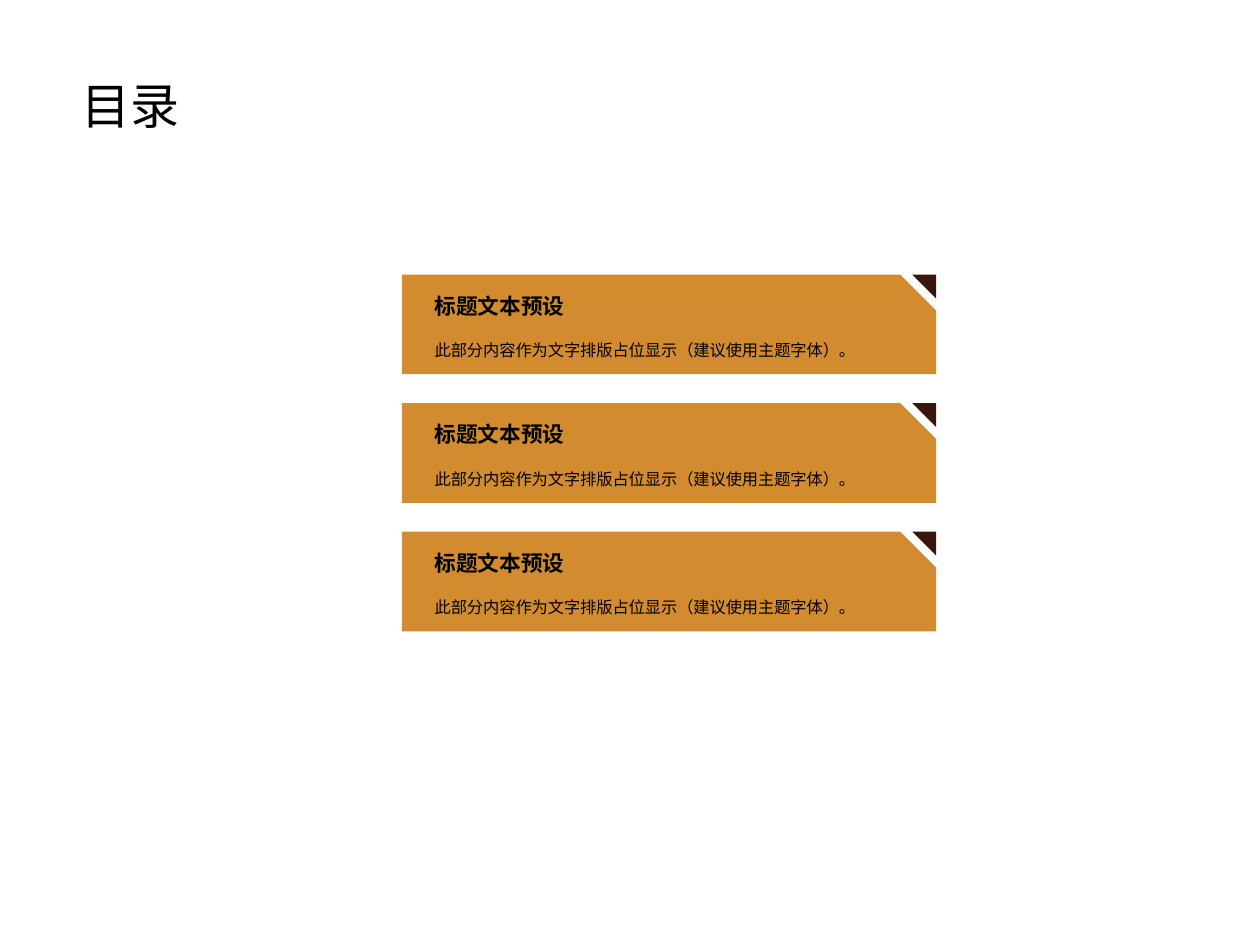
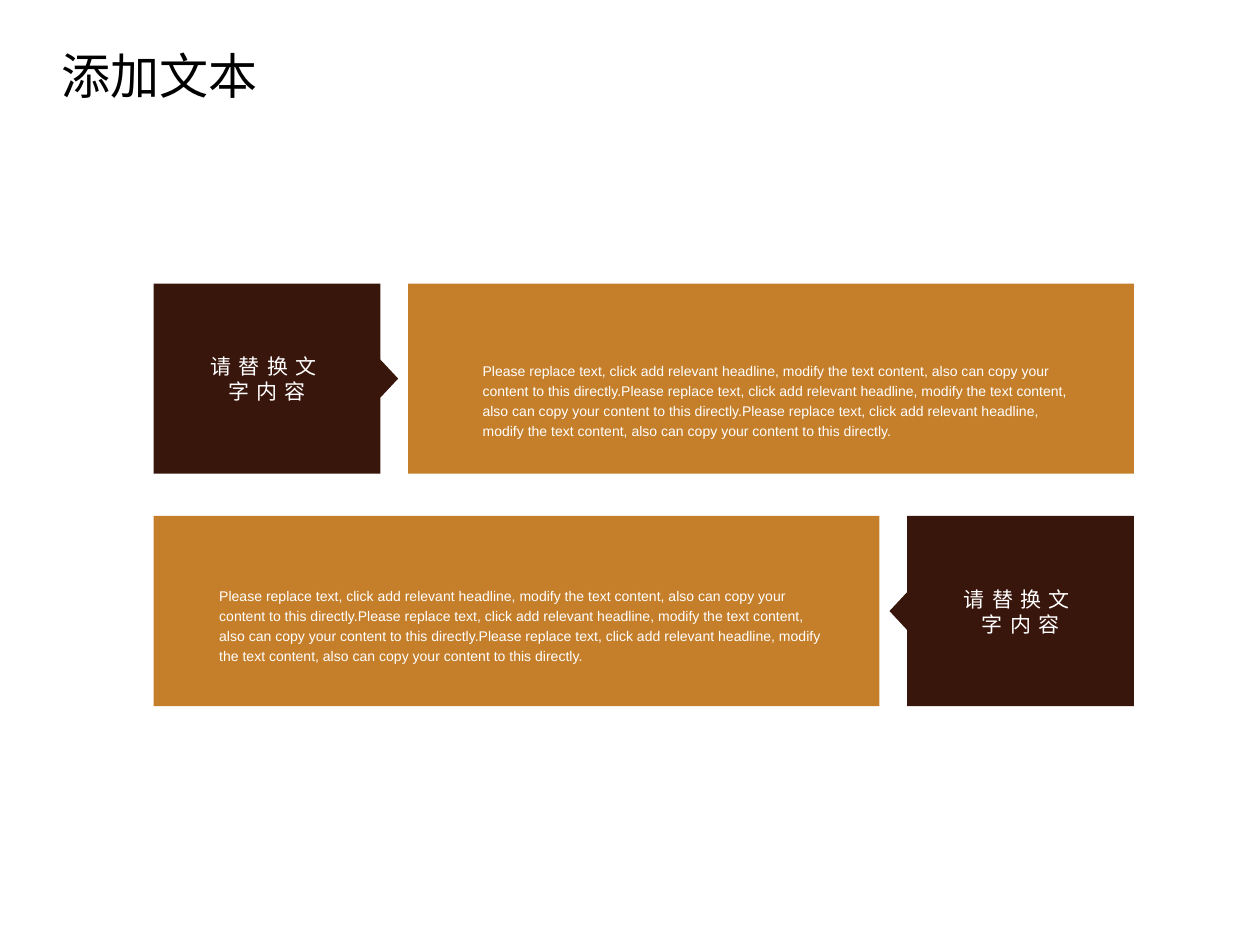
from lxml import etree
from pptx import Presentation
from pptx.dml.color import RGBColor
from pptx.enum.shapes import MSO_SHAPE
from pptx.enum.text import MSO_ANCHOR, MSO_AUTO_SIZE, PP_ALIGN
from pptx.oxml.ns import qn
from pptx.util import Inches, Pt

CJK_FONT = "Noto Sans CJK SC"
LATIN_FONT = "Arial"
BLACK = RGBColor(0x00, 0x00, 0x00)
WHITE = RGBColor(0xFF, 0xFF, 0xFF)
BROWN = RGBColor(0x38, 0x16, 0x0C)
AMBER = RGBColor(0xD2, 0x8B, 0x2F)
OCHRE = RGBColor(0xC5, 0x7F, 0x2B)

CONTENTS_TITLE = "目录"
CONTENTS = [("标题文本预设", "此部分内容作为文字排版占位显示（建议使用主题字体）。")] * 3

TEXT_TITLE = "添加文本"
SENTENCE = ("Please replace text, click add relevant headline, modify the text "
            "content, also can copy your content to this directly.")
# label, body, label on the left, body offset (x, y) in its panel, body width
ROWS = [
    ("请替换文字内容", SENTENCE * 3, True, (0.59, 0.6), 4.65),
    ("请替换文字内容", SENTENCE * 3, False, (0.52, 0.54), 4.86),
]

CARD_LEFT, CARD_TOP, CARD_WIDTH, CARD_HEIGHT, CARD_PITCH = 3.19, 2.18, 4.24, 0.79, 1.02
CORNER = 0.19
ROW_LEFT, ROW_TOP, ROW_WIDTH, ROW_HEIGHT, ROW_PITCH = 1.22, 2.25, 7.78, 1.51, 1.845
LABEL_WIDTH, PANEL_WIDTH = 1.8, 5.76
POINTER_DEPTH, POINTER_HALF = 0.14, 0.15
CARD_INSETS = (0.13, 0.07)


def style_paragraph(paragraph, size, color, font=CJK_FONT, bold=False,
                    line_spacing=None, alignment=PP_ALIGN.LEFT, tracking=None):
    paragraph.alignment = alignment
    paragraph.line_spacing = line_spacing
    paragraph.font.size = Pt(size)
    paragraph.font.bold = bold
    paragraph.font.name = font
    paragraph.font.color.rgb = color
    for run in paragraph.runs:
        properties = run._r.get_or_add_rPr()
        etree.SubElement(properties, qn("a:ea")).set("typeface", CJK_FONT)
        if tracking:
            properties.set("spc", str(round(tracking * 100)))


def add_text(slide, text, left, top, width, height, size, color,
             insets=(0, 0), anchor=MSO_ANCHOR.TOP, **style):
    box = slide.shapes.add_textbox(
        Inches(left), Inches(top), Inches(width), Inches(height))
    frame = box.text_frame
    frame.word_wrap = True
    frame.vertical_anchor = anchor
    frame.margin_left = frame.margin_right = Inches(insets[0])
    frame.margin_top = frame.margin_bottom = Inches(insets[1])
    frame.text = text
    style_paragraph(frame.paragraphs[0], size, color, **style)


def paint(shape, color):
    shape.shadow.inherit = False
    shape.fill.solid()
    shape.fill.fore_color.rgb = color
    shape.line.fill.background()


def add_box(slide, kind, left, top, width, height, color):
    shape = slide.shapes.add_shape(
        kind, Inches(left), Inches(top), Inches(width), Inches(height))
    paint(shape, color)
    return shape


def add_outline(slide, points, color):
    start, *rest = [(Inches(x), Inches(y)) for x, y in points]
    builder = slide.shapes.build_freeform(*start)
    builder.add_line_segments(rest, close=True)
    paint(builder.convert_to_shape(), color)


def add_titled_slide(presentation, text, left, top, width):
    slide = presentation.slides.add_slide(presentation.slide_layouts[5])
    title = slide.shapes.title
    title.left, title.top = Inches(left), Inches(top)
    title.width, title.height = Inches(width), Inches(0.57)
    frame = title.text_frame
    frame.text = text
    frame.auto_size = MSO_AUTO_SIZE.NONE
    frame.vertical_anchor = MSO_ANCHOR.MIDDLE
    style_paragraph(frame.paragraphs[0], 28, BLACK)
    return slide


def add_card(slide, top, heading, description):
    card = add_box(slide, MSO_SHAPE.SNIP_1_RECTANGLE,
                   CARD_LEFT, top, CARD_WIDTH, CARD_HEIGHT, AMBER)
    card.adjustments[0] = 0.36
    right = CARD_LEFT + CARD_WIDTH
    add_outline(slide, [(right, top), (right - CORNER, top), (right, top + CORNER)], BROWN)
    text_left = CARD_LEFT + 0.13
    add_text(slide, heading, text_left, top + 0.09, 3.98, 0.31, 12.4, BLACK,
             CARD_INSETS, MSO_ANCHOR.MIDDLE, bold=True)
    add_text(slide, description, text_left, top + 0.38, 3.62, 0.42, 9.3, BLACK,
             CARD_INSETS, MSO_ANCHOR.MIDDLE, line_spacing=Pt(12.3))


def add_label(slide, left, top, text, points_right):
    """Draw a label block whose pointer faces the text panel beside it."""
    right, bottom, middle = left + LABEL_WIDTH, top + ROW_HEIGHT, top + ROW_HEIGHT / 2
    near, far, step = (right, left, 1) if points_right else (left, right, -1)
    add_outline(slide, [
        (far, top), (near, top), (near, middle - POINTER_HALF),
        (near + step * POINTER_DEPTH, middle), (near, middle + POINTER_HALF),
        (near, bottom), (far, bottom)], BROWN)
    add_text(slide, text, left + 0.44, top + 0.56, 0.92, 0.41, 12, WHITE,
             font=LATIN_FONT, alignment=PP_ALIGN.CENTER,
             line_spacing=Pt(14.3), tracking=4.2)


def add_row(slide, top, label, body, label_first, body_offset, body_width):
    row_right = ROW_LEFT + ROW_WIDTH
    label_left = ROW_LEFT if label_first else row_right - LABEL_WIDTH
    panel_left = row_right - PANEL_WIDTH if label_first else ROW_LEFT
    add_box(slide, MSO_SHAPE.RECTANGLE, panel_left, top, PANEL_WIDTH, ROW_HEIGHT, OCHRE)
    add_label(slide, label_left, top, label, label_first)
    offset_x, offset_y = body_offset
    add_text(slide, body, panel_left + offset_x, top + offset_y, body_width, 0.33,
             8, WHITE, font=LATIN_FONT, line_spacing=1.2)


def main():
    presentation = Presentation()
    presentation.slide_width, presentation.slide_height = Inches(10), Inches(7.5)

    contents_slide = add_titled_slide(presentation, CONTENTS_TITLE, 0.55, 0.55, 1.09)
    for index, (heading, description) in enumerate(CONTENTS):
        add_card(contents_slide, CARD_TOP + index * CARD_PITCH, heading, description)

    text_slide = add_titled_slide(presentation, TEXT_TITLE, 0.39, 0.31, 1.77)
    for index, row in enumerate(ROWS):
        add_row(text_slide, ROW_TOP + index * ROW_PITCH, *row)

    presentation.save("out.pptx")


if __name__ == "__main__":
    main()
